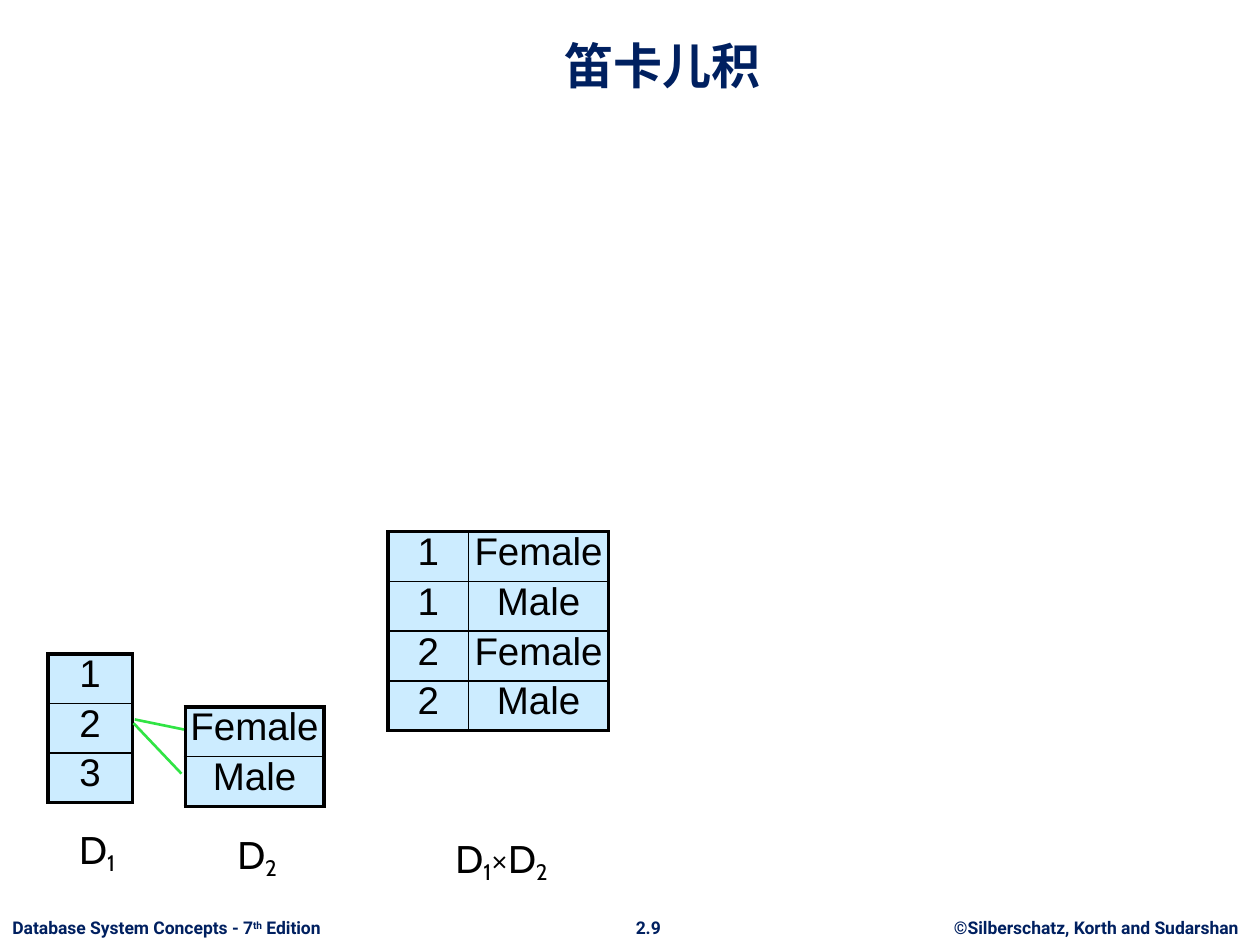
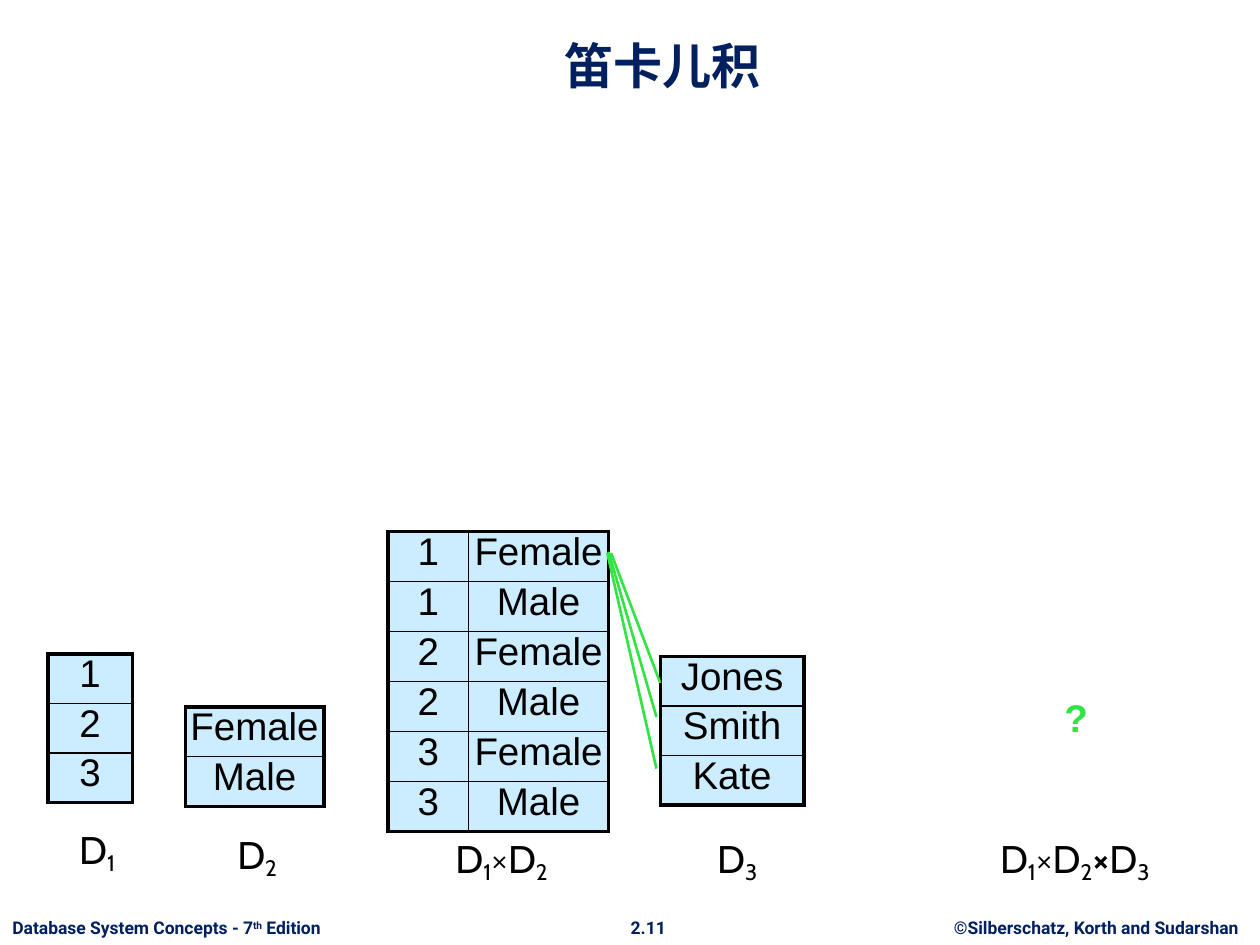
from typing import NamedTuple

from lxml.etree import SubElement
from pptx import Presentation
from pptx.dml.color import RGBColor
from pptx.enum.shapes import MSO_CONNECTOR
from pptx.enum.text import MSO_ANCHOR as Anchor, MSO_AUTO_SIZE as AutoSize, PP_ALIGN as Align
from pptx.oxml.ns import qn
from pptx.slide import Slide
from pptx.util import Pt

PX = 9144  # EMU: 100 px to the inch
NAVY = RGBColor(0x00, 0x20, 0x60)
BLACK = RGBColor(0x00, 0x00, 0x00)
GREEN = RGBColor(0x30, 0xE4, 0x44)
PALE_BLUE = RGBColor(0xCC, 0xEC, 0xFF)
THICK, THIN = Pt(2.25), Pt(1)
LABEL_HEIGHT = 47


class Box(NamedTuple):
    left: int
    top: int
    width: int
    height: int

    def emu(self) -> list[int]:
        return [v * PX for v in self]


class Style(NamedTuple):
    font: str
    size: int
    color: RGBColor
    bold: bool = False
    align: Align = Align.CENTER
    anchor: Anchor = Anchor.TOP
    wrap: bool = True


class Piece(NamedTuple):
    text: str
    baseline: int = 0  # percent of the text size
    bold: bool = False


class Relation(NamedTuple):
    box: Box
    columns: tuple[int, ...]
    rows: list[tuple[str, ...]]
    side_margin: int = 0


class Label(NamedTuple):
    left: int
    top: int
    width: int
    pieces: list[Piece]


class Link(NamedTuple):
    x1: int
    y1: int
    x2: int
    y2: int


TITLE = Style("Roboto", 28, NAVY, bold=True, anchor=Anchor.BOTTOM)
FOOTER = Style("Roboto", 10, NAVY, bold=True, wrap=False)
LABEL = Style("Cabin", 22, BLACK)
CELL = Style("Arial", 22, BLACK)
QUESTION = Style("Arial", 22, GREEN, bold=True)


def domain(number: int) -> list[Piece]:
    """The letter D with a subscript."""
    return [Piece("D"), Piece(str(number), -18)]


TIMES = Piece("×")
SEXES = ("Female", "Male")

D1 = Relation(Box(38, 519, 67, 118), (67,), [("1",), ("2",), ("3",)], 10)
D2 = Relation(Box(147, 561, 110, 79), (110,), [(sex,) for sex in SEXES])
D3 = Relation(Box(524, 521, 114, 118), (114,), [("Jones",), ("Smith",), ("Kate",)], 10)


def product(last: int, height: int) -> Relation:
    """D1×D2 for the numbers from 1 up to last."""
    rows = [(str(n), sex) for n in range(1, last + 1) for sex in SEXES]
    return Relation(Box(308, 422, 175, height), (64, 111), rows)


LABELS = [
    Label(31, 651, 92, domain(1)),
    Label(158, 655, 92, domain(2)),
    Label(269, 658, 258, [*domain(1), TIMES, *domain(2)]),
]
D3_LABELS = [
    Label(539, 658, 92, domain(3)),
    Label(724, 658, 258,
          [*domain(1), TIMES, *domain(2), Piece("×", bold=True), *domain(3)]),
]


def format_run(r, style: Style, piece: Piece) -> None:
    r.font.name = style.font
    r.font.size = Pt(style.size)
    r.font.color.rgb = style.color
    r.font.bold = style.bold or piece.bold
    if piece.baseline:
        r._r.get_or_add_rPr().set("baseline", str(piece.baseline * 1000))


def add_text(s: Slide, box: Box, pieces: list[Piece], style: Style) -> None:
    tf = s.shapes.add_textbox(*box.emu()).text_frame
    tf.auto_size = AutoSize.NONE
    tf.word_wrap = style.wrap
    tf.vertical_anchor = style.anchor
    p = tf.paragraphs[0]
    p.alignment = style.align
    for piece in pieces:
        r = p.add_run()
        r.text = piece.text
        format_run(r, style, piece)


def add_border(cell, side: str, width: int) -> None:
    ln = SubElement(cell._tc.get_or_add_tcPr(), qn(f"a:ln{side}"), w=str(int(width)))
    fill = SubElement(ln, qn("a:solidFill"))
    SubElement(fill, qn("a:srgbClr"), val=str(BLACK))


def add_relation(s: Slide, relation: Relation) -> None:
    """A table with a thick frame and thin inner rules."""
    last_row, last_col = len(relation.rows) - 1, len(relation.columns) - 1
    table = s.shapes.add_table(last_row + 1, last_col + 1, *relation.box.emu()).table
    table.first_row = table.horz_banding = False
    for column, width in zip(table.columns, relation.columns):
        column.width = width * PX
    for i, row in enumerate(relation.rows):
        for j, text in enumerate(row):
            cell = table.cell(i, j)
            cell.margin_left = cell.margin_right = relation.side_margin * PX
            edges = {"L": j == 0, "R": j == last_col, "T": i == 0, "B": i == last_row}
            for side, outer in edges.items():
                add_border(cell, side, THICK if outer else THIN)
            cell.fill.solid()
            cell.fill.fore_color.rgb = PALE_BLUE
            p = cell.text_frame.paragraphs[0]
            p.text = text
            p.alignment = CELL.align
            p.line_spacing = 0.8
            format_run(p.runs[0], CELL, Piece(text))


def add_link(s: Slide, link: Link) -> None:
    line = s.shapes.add_connector(MSO_CONNECTOR.STRAIGHT, *(v * PX for v in link))
    line.line.color.rgb = GREEN
    line.line.width = Pt(1.5)
    SubElement(line._element.spPr, qn("a:effectLst"))


def add_slide(prs, number: str, relations: list[Relation],
              labels: list[Label], links: list[Link]) -> Slide:
    s = prs.slides.add_slide(prs.slide_layouts[6])
    add_text(s, Box(740, 723, 260, 27), [Piece("©Silberschatz, Korth and Sudarshan")], FOOTER)
    add_text(s, Box(490, 723, 49, 27), [Piece(number)], FOOTER)
    add_text(s, Box(0, 723, 281, 27),
             [Piece("Database System Concepts - 7"), Piece("th", 30), Piece(" Edition")],
             FOOTER._replace(align=Align.LEFT))
    add_text(s, Box(84, 13, 883, 67), [Piece("笛卡儿积")], TITLE)
    for relation in relations:
        add_relation(s, relation)
    for label in labels:
        add_text(s, Box(label.left, label.top, label.width, LABEL_HEIGHT), label.pieces, LABEL)
    for link in links:
        add_link(s, link)
    return s


def main() -> None:
    prs = Presentation()
    prs.slide_width, prs.slide_height = 1000 * PX, 750 * PX
    add_slide(prs, "2.9", [product(2, 158), D1, D2], LABELS,
              [Link(107, 571, 146, 579), Link(106, 574, 144, 614)])
    s = add_slide(prs, "2.11", [product(3, 238), D1, D3, D2], LABELS + D3_LABELS,
                  [Link(485, 439, 524, 542), Link(483, 438, 521, 569),
                   Link(482, 439, 521, 610)])
    add_text(s, Box(754, 546, 200, LABEL_HEIGHT), [Piece("?")], QUESTION)
    prs.save("out.pptx")


if __name__ == "__main__":
    main()
